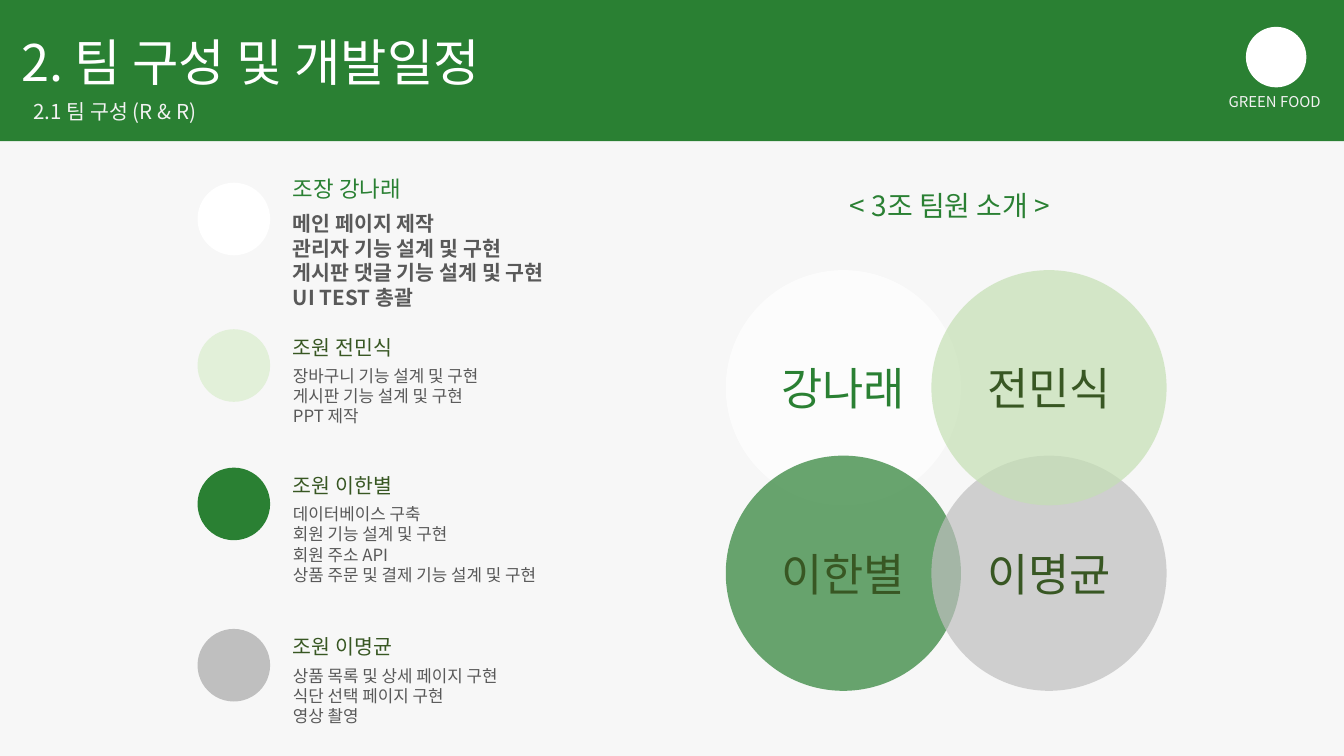
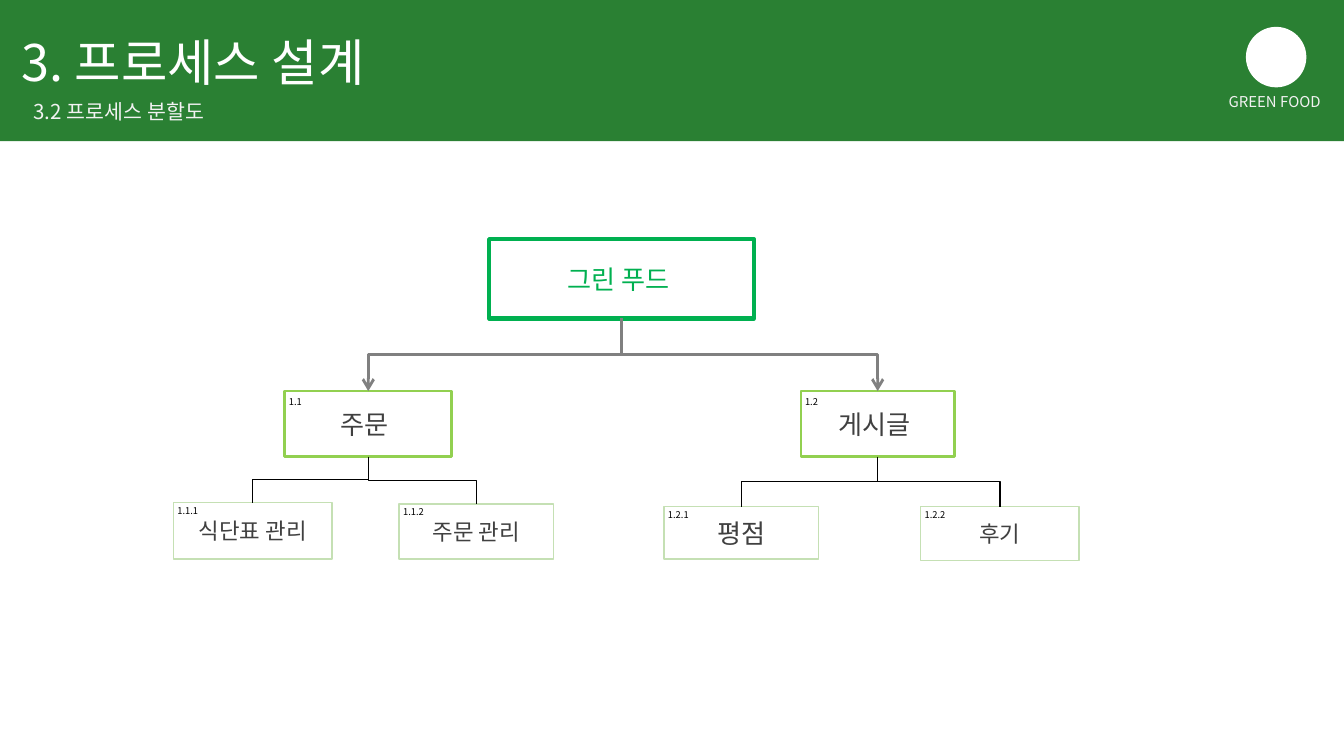
from dataclasses import dataclass

from lxml.etree import SubElement
from pptx import Presentation
from pptx.dml.color import RGBColor as Color
from pptx.enum.shapes import MSO_CONNECTOR as Connector, MSO_SHAPE as Shape
from pptx.enum.text import MSO_ANCHOR as Anchor, MSO_AUTO_SIZE as AutoSize, PP_ALIGN as Align
from pptx.oxml.ns import qn
from pptx.util import Inches, Pt


@dataclass(frozen=True)
class Theme:
    font: str = "Noto Sans CJK KR"
    green: str = "2A8033"
    dark_green: str = "385723"
    pale_green: str = "C5E0B4"
    mint: str = "E2F0D9"
    lime: str = "92D050"
    emerald: str = "00B050"
    white: str = "FFFFFF"
    off_white: str = "F2F2F2"
    paper: str = "F7F7F7"
    silver: str = "BFBFBF"
    gray: str = "808080"
    body: str = "595959"
    ink: str = "404040"
    black: str = "000000"
    title: int = 27
    circle_name: int = 24
    heading: int = 15
    box: int = 14
    small_box: int = 12
    subtitle: int = 11
    task: int = 9
    brand: int = 8
    number: int = 5


theme = Theme()


def draw(page, kind, place, fill, line=None, opacity=None):
    """Add a shape; line is (colour, points) and opacity a percentage."""
    shape = page.shapes.add_shape(kind, *map(Inches, place))
    shape.shadow.inherit = False
    shape.fill.solid()
    shape.fill.fore_color.rgb = Color.from_string(fill)
    if opacity:
        fill_color = shape._element.spPr.find(qn("a:solidFill"))[0]
        SubElement(fill_color, qn("a:alpha"), val=str(opacity * 1000))
    if line:
        shape.line.color.rgb = Color.from_string(line[0])
        shape.line.width = Pt(line[1])
    else:
        shape.line.fill.background()
    return shape


def write(target, lines, size, color, align=Align.LEFT, bold=False, wrap=True, left_inset=0.07):
    """Write one paragraph per line into a shape or text box."""
    frame = target.text_frame
    frame.word_wrap = wrap
    frame.margin_left, frame.margin_right = Inches(left_inset), Inches(0.07)
    frame.margin_top = frame.margin_bottom = Inches(0.04)
    for index, line in enumerate(lines):
        para = frame.add_paragraph() if index else frame.paragraphs[0]
        para.alignment = align
        span = para.add_run()
        span.text = line
        span.font.size = Pt(size)
        span.font.bold = bold
        span.font.color.rgb = Color.from_string(color)
        span.font.name = theme.font
        SubElement(span._r.get_or_add_rPr(), qn("a:ea"), typeface=theme.font)


deck = Presentation()
deck.slide_width = Inches(10)
deck.slide_height = deck.slide_width * 9 // 16

# Shared header
pages = []
for background, title, subtitle in [
    (theme.paper, "2. 팀 구성 및 개발일정", "2.1 팀 구성 (R & R)"),
    (theme.white, "3. 프로세스 설계", "3.2 프로세스 분할도"),
]:
    page = deck.slides.add_slide(deck.slide_layouts[6])
    page.background.fill.solid()
    page.background.fill.fore_color.rgb = Color.from_string(background)
    draw(page, Shape.RECTANGLE, (0, 0, 10, 1.05), theme.green)
    draw(page, Shape.OVAL, (9.27, 0.2, 0.45, 0.45), theme.white)
    for place, text, size, color, align in [
        ((0.09, 0.19, 4.52, 0.53), title, theme.title, theme.white, Align.LEFT),
        ((0.18, 0.7, 3.93, 0.26), subtitle, theme.subtitle, theme.off_white, Align.LEFT),
        ((8.28, 0.65, 2.41, 0.21), "GREEN FOOD", theme.brand, theme.off_white, Align.CENTER),
    ]:
        box = page.shapes.add_textbox(*map(Inches, place))
        write(box, [text], size, color, align)
        box.text_frame.auto_size = AutoSize.SHAPE_TO_FIT_TEXT
    pages.append(page)

team_page, process_page = pages

# Team members and their tasks
members = [
    # dot top, dot colour, name top, name, tasks
    (1.36, theme.white, 1.26, "조장 강나래",
     ["메인 페이지 제작", "관리자 기능 설계 및 구현", "게시판 댓글 기능 설계 및 구현", "UI TEST 총괄"]),
    (2.45, theme.mint, 2.45, "조원 전민식",
     ["장바구니 기능 설계 및 구현", "게시판 기능 설계 및 구현", "PPT 제작"]),
    (3.48, theme.green, 3.48, "조원 이한별",
     ["데이터베이스 구축", "회원 기능 설계 및 구현", "회원 주소 API", "상품 주문 및 결제 기능 설계 및 구현"]),
    (4.68, theme.silver, 4.68, "조원 이명균",
     ["상품 목록 및 상세 페이지 구현", "식단 선택 페이지 구현", "영상 촬영"]),
]
for dot_top, dot_color, name_top, name, tasks in members:
    leader = name.startswith("조장")
    name_size = theme.small_box if leader else theme.subtitle
    name_color = theme.green if leader else theme.dark_green
    task_size = theme.subtitle if leader else theme.task
    task_top = name_top + (0.27 if leader else 0.23)
    draw(team_page, Shape.OVAL, (1.47, dot_top, 0.54, 0.54), dot_color)
    box = team_page.shapes.add_textbox(*map(Inches, (2.11, name_top, 1.23, 0.26)))
    write(box, [name], name_size, name_color)
    box = team_page.shapes.add_textbox(*map(Inches, (2.11, task_top, 2.31, 0.2 * len(tasks))))
    write(box, tasks, task_size, theme.body, bold=leader)

# Overlapping name circles
box = team_page.shapes.add_textbox(*map(Inches, (5.74, 1.36, 2.66, 0.33)))
write(box, ["< 3조 팀원 소개 >"], theme.heading, theme.green, Align.CENTER)
for column, row, name, fill, color in [
    (0, 0, "강나래", theme.white, theme.green),
    (0, 1, "이한별", theme.green, theme.dark_green),
    (1, 1, "이명균", theme.silver, theme.dark_green),
    (1, 0, "전민식", theme.pale_green, theme.dark_green),
]:
    place = (5.4 + 1.53 * column, 2.01 + 1.38 * row, 1.75, 1.75)
    circle = draw(team_page, Shape.OVAL, place, fill, opacity=70)
    circle.text_frame.vertical_anchor = Anchor.MIDDLE
    write(circle, [name], theme.circle_name, color, Align.CENTER)

# Process tree: the number of a box is its parent's number plus one more part
top_line = (theme.emerald, 2.25)
middle_line = (theme.lime, 1.5)
leaf_line = (theme.pale_green, 0.75)
processes = {
    "1": ((3.64, 1.78, 1.97, 0.59), "그린 푸드", theme.box, theme.emerald, top_line),
    "1.1": ((2.12, 2.91, 1.24, 0.49), "주문", theme.box, theme.ink, middle_line),
    "1.2": ((5.96, 2.91, 1.14, 0.49), "게시글", theme.box, theme.ink, middle_line),
    "1.1.1": ((1.29, 3.74, 1.18, 0.42), "식단표 관리", theme.small_box, theme.ink, leaf_line),
    "1.1.2": ((2.97, 3.75, 1.15, 0.41), "주문 관리", theme.small_box, theme.ink, leaf_line),
    "1.2.1": ((4.94, 3.77, 1.15, 0.39), "평점", theme.box, theme.ink, leaf_line),
    "1.2.2": ((6.85, 3.77, 1.18, 0.4), "후기", theme.small_box, theme.ink, leaf_line),
}
for number, (place, name, size, color, line) in processes.items():
    leaf = line == leaf_line
    box = draw(process_page, Shape.RECTANGLE, place, theme.white, line)
    box.text_frame.vertical_anchor = Anchor.MIDDLE
    write(box, [name], size, color, Align.CENTER, left_inset=0.07 if leaf else 0.02)

for number, (place, *_) in processes.items():
    if number == "1":
        continue
    left, top, width, _ = place
    leaf = number.count(".") == 2

    # An elbow runs sideways first, so it is turned a quarter to leave downwards
    parent_left, parent_top, parent_width, parent_height = processes[number[:-2]][0]
    start_x, start_y = parent_left + parent_width / 2, parent_top + parent_height
    end_x, end_y = left + width / 2, top
    middle_x, middle_y = (start_x + end_x) / 2, (start_y + end_y) / 2
    drop, reach = end_y - start_y, abs(end_x - start_x)
    rightward = end_x > start_x
    half = -drop / 2 if rightward else drop / 2
    elbow = process_page.shapes.add_connector(
        Connector.ELBOW,
        Inches(middle_x - half), Inches(middle_y - reach / 2),
        Inches(middle_x + half), Inches(middle_y + reach / 2),
    )
    elbow.rotation = 270 if rightward else 90
    elbow.line.color.rgb = Color.from_string(theme.black if leaf else theme.gray)
    elbow.line.width = Pt(0.75 if leaf else 1.5)
    if not leaf:
        SubElement(elbow.line._get_or_add_ln(), qn("a:tailEnd"), type="arrow")
    SubElement(elbow._element.spPr, qn("a:effectLst"))

    label_place = (left - 0.04, top - (0.02 if leaf else 0), 0.34 if leaf else 0.27, 0.16)
    label = process_page.shapes.add_textbox(*map(Inches, label_place))
    write(label, [number], theme.number, theme.black, wrap=False)

deck.save("out.pptx")
